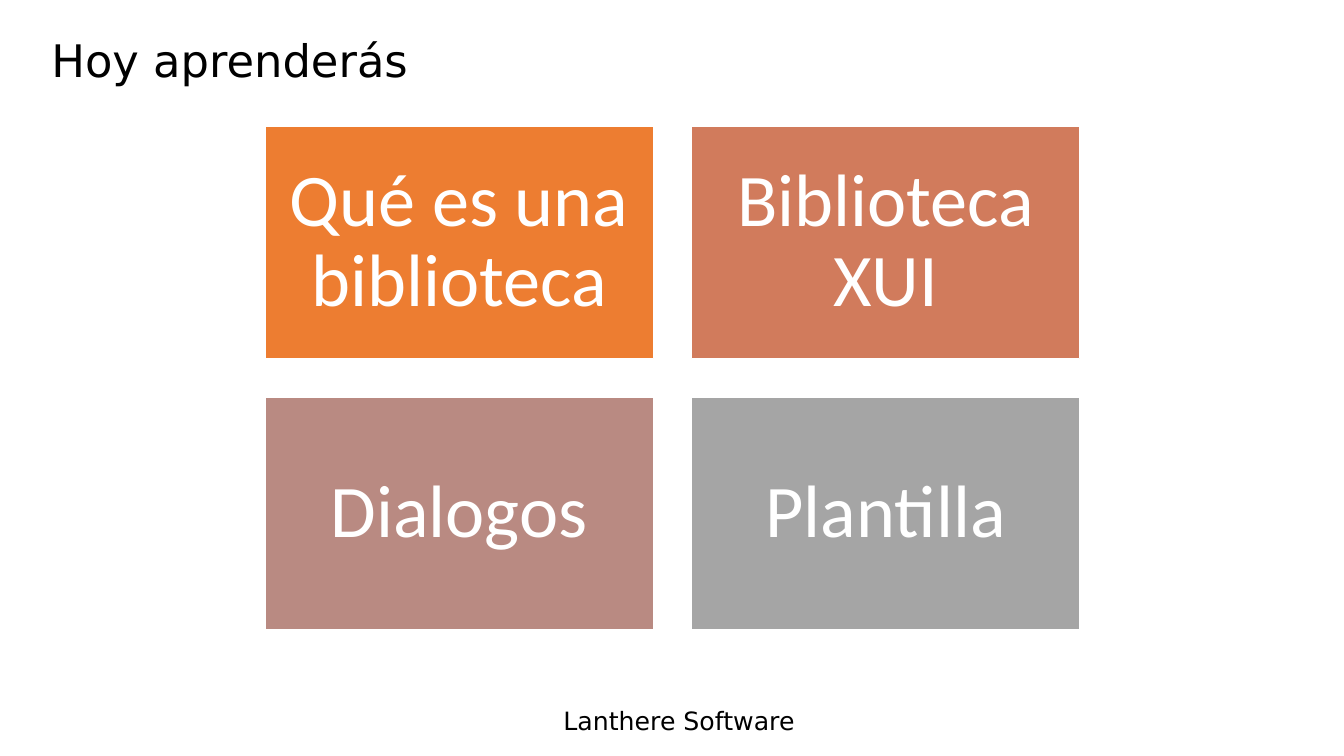
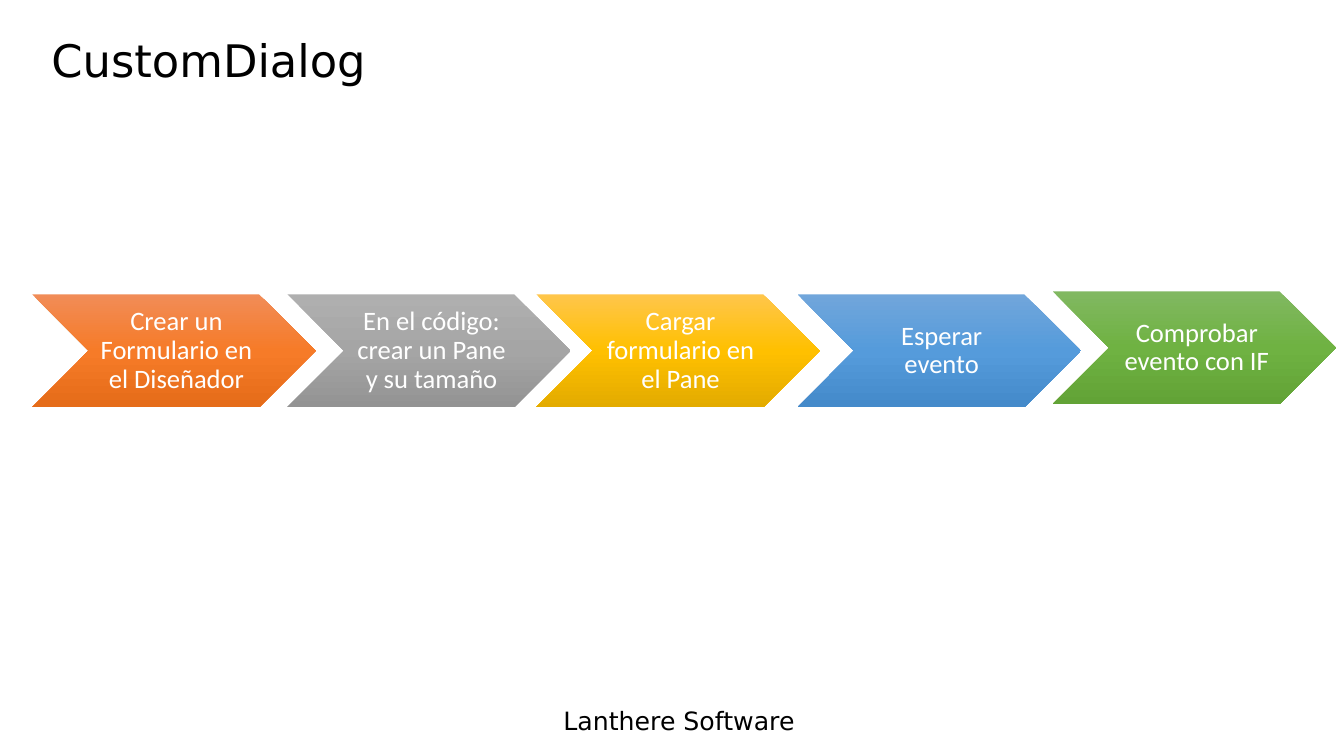
from copy import deepcopy

from pptx import Presentation
from pptx.dml.color import RGBColor
from pptx.enum.shapes import MSO_SHAPE
from pptx.enum.text import MSO_ANCHOR, MSO_AUTO_SIZE, PP_ALIGN
from pptx.oxml.ns import qn
from pptx.util import Pt

EMU_PER_PX = 9144
RECTANGLE, CHEVRON = MSO_SHAPE.RECTANGLE, MSO_SHAPE.CHEVRON
MIDDLE = MSO_ANCHOR.MIDDLE
LEFT, CENTER = PP_ALIGN.LEFT, PP_ALIGN.CENTER
NO_AUTOFIT = MSO_AUTO_SIZE.NONE

HEADING_FONT, BODY_FONT = "DejaVu Sans", "Calibri"
BLACK = RGBColor(0x00, 0x00, 0x00)
WHITE = RGBColor(0xFF, 0xFF, 0xFF)
ORANGE = RGBColor(0xED, 0x7D, 0x31)
TERRACOTTA = RGBColor(0xD1, 0x7B, 0x5C)
DUSTY_ROSE = RGBColor(0xB9, 0x8A, 0x82)
GRAY = RGBColor(0xA5, 0xA5, 0xA5)

# Gradients from top to bottom
ORANGES = (RGBColor(0xF1, 0x8C, 0x57), RGBColor(0xF6, 0x7B, 0x28), RGBColor(0xE5, 0x6C, 0x19))
GRAYS = (RGBColor(0xAF, 0xAF, 0xAF), GRAY, RGBColor(0x93, 0x93, 0x93))
YELLOWS = (RGBColor(0xFF, 0xC6, 0x4B), RGBColor(0xFF, 0xC0, 0x00), RGBColor(0xE3, 0xAB, 0x00))
BLUES = (RGBColor(0x71, 0xA6, 0xDB), RGBColor(0x55, 0x9B, 0xDB), RGBColor(0x44, 0x8A, 0xCA))
GREENS = (RGBColor(0x81, 0xB8, 0x61), RGBColor(0x6F, 0xB2, 0x42), RGBColor(0x62, 0xA3, 0x36))

FOOTER = "Lanthere Software"
TOPICS = (
    ("Qué es una biblioteca", ORANGE),
    ("Biblioteca XUI", TERRACOTTA),
    ("Dialogos", DUSTY_ROSE),
    ("Plantilla", GRAY),
)
# Text, left, top, gradient
STEPS = (
    ("Crear un Formulario en el Diseñador", 32, 292, ORANGES),
    ("En el código: crear un Pane y su tamaño", 285, 292, GRAYS),
    ("Cargar formulario en el Pane", 532, 292, YELLOWS),
    ("Esperar evento", 791, 292, BLUES),
    ("Comprobar evento con IF", 1044, 289, GREENS),
)


def px(n):
    return n * EMU_PER_PX


def write(tf, text, font, size, color, align=LEFT, spacing=None):
    tf.word_wrap = True
    tf.text = text
    p = tf.paragraphs[0]
    p.alignment = align
    p.line_spacing = spacing
    r = p.runs[0]
    r.font.name, r.font.size, r.font.color.rgb = font, Pt(size), color


def set_insets(tf, left, others):
    tf.margin_left = px(left)
    tf.margin_top = tf.margin_right = tf.margin_bottom = px(others)


def place_title(layout):
    title = layout.placeholders[0]
    title.left, title.top = px(41), px(15)
    title.width, title.height = px(1201), px(95)


def add_titled_slide(prs, layout, text):
    slide = prs.slides.add_slide(layout)
    tf = slide.shapes.title.text_frame
    write(tf, text, HEADING_FONT, 32, BLACK, spacing=0.9)
    tf.vertical_anchor = MIDDLE
    tf.auto_size = NO_AUTOFIT
    return slide


def move_footer_to_master(prs, slide):
    """Draw the footer once and hand it to the master, so every slide shows it."""
    box = slide.shapes.add_textbox(px(549), px(695), px(290), px(40))
    write(box.text_frame, FOOTER, HEADING_FONT, 18, BLACK)
    prs.slide_master.shapes.element.append(box.element)


def add_block(slide, kind, at, text, size):
    sp = slide.shapes.add_shape(kind, *map(px, at))
    sp.shadow.inherit = False
    write(sp.text_frame, text, BODY_FONT, size, WHITE, CENTER, 0.9)
    sp.text_frame.vertical_anchor = MIDDLE
    return sp


def fill_gradient(sp, colors):
    """Fill from top to bottom with evenly spaced colours."""
    sp.fill.gradient()
    sp.fill.gradient_angle = 270
    stop_list = sp.element.spPr.find(".//" + qn("a:gsLst"))
    while len(stop_list) < len(colors):
        stop_list.append(deepcopy(stop_list[0]))
    for i, (stop, color) in enumerate(zip(sp.fill.gradient_stops, colors)):
        stop.position = i / (len(colors) - 1)
        stop.color.rgb = color


def add_topic_grid(slide):
    width, height, gap = 385, 231, 38
    for i, (text, color) in enumerate(TOPICS):
        row, col = divmod(i, 2)
        at = (263 + col * (width + gap), 125 + row * (height + gap), width, height)
        sp = add_block(slide, RECTANGLE, at, text, 53)
        set_insets(sp.text_frame, 22, 22)
        sp.fill.solid()
        sp.fill.fore_color.rgb = color
        sp.line.color.rgb = WHITE
        sp.line.width = Pt(1)


def add_process(slide):
    for text, left, top, colors in STEPS:
        sp = add_block(slide, CHEVRON, (left, top, 281, 112), text, 19)
        set_insets(sp.text_frame, 8, 3)
        fill_gradient(sp, colors)
        sp.line.fill.background()


def main():
    prs = Presentation()
    prs.slide_width, prs.slide_height = px(1333), px(750)
    layout = prs.slide_layouts.get_by_name("Title Only")
    place_title(layout)

    slide = add_titled_slide(prs, layout, "Hoy aprenderás")
    move_footer_to_master(prs, slide)
    add_topic_grid(slide)

    slide = add_titled_slide(prs, layout, "CustomDialog")
    add_process(slide)
    prs.save("out.pptx")


if __name__ == "__main__":
    main()
